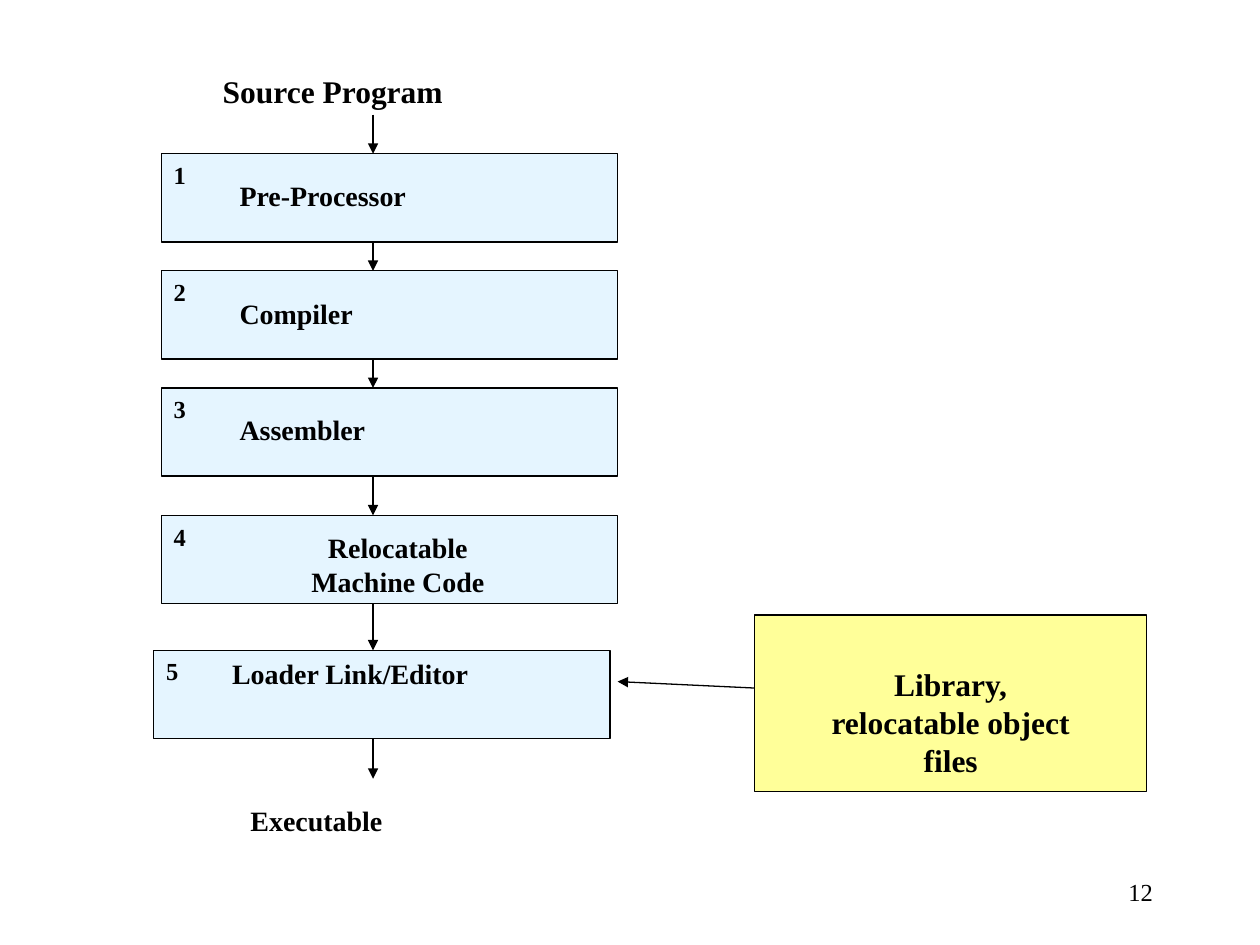
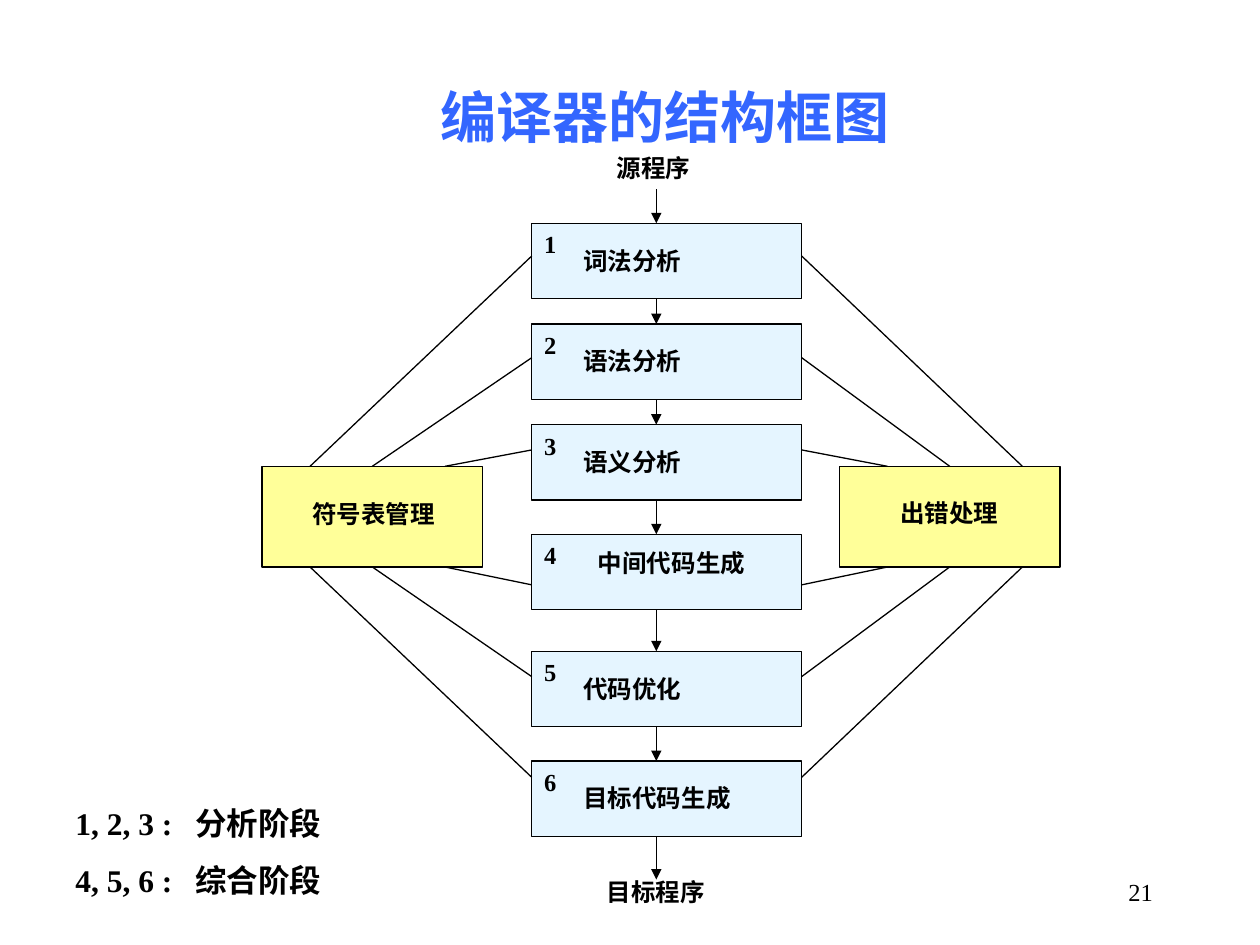
import dataclasses

import pptx
import pptx.dml.color
import pptx.enum.shapes
import pptx.enum.text
import pptx.oxml
import pptx.oxml.ns
import pptx.util

Cm = pptx.util.Cm
Pt = pptx.util.Pt
ALIGN = pptx.enum.text.PP_ALIGN
ANCHOR = pptx.enum.text.MSO_ANCHOR


@dataclasses.dataclass(frozen=True)
class Theme:
    font: str = "Times New Roman"
    ink: str = "000000"
    title: str = "3366FF"
    phase: str = "CCECFF"
    panel: str = "FFFF99"
    title_size: int = 32
    large: int = 18
    medium: int = 16
    small: int = 14
    line_width: float = 0.75


theme = Theme()


def rgb(value):
    return pptx.dml.color.RGBColor.from_string(value)


def add_text(slide, lines, place, size, align=ALIGN.LEFT, bold=True,
             color=theme.ink, anchor=ANCHOR.TOP):
    """Add a text box with one line-broken paragraph and return that paragraph."""
    frame = slide.shapes.add_textbox(*map(Cm, place)).text_frame
    frame.word_wrap = True
    frame.vertical_anchor = anchor
    paragraph = frame.paragraphs[0]
    paragraph.alignment = align
    for index, line in enumerate(lines.split("\n")):
        if index:
            paragraph.add_line_break()
        run = paragraph.add_run()
        run.text = line
        run.font.name = theme.font
        run.font.size = Pt(size)
        run.font.bold = bold
        run.font.color.rgb = rgb(color)
    return paragraph


presentation = pptx.Presentation()
presentation.slide_width = Cm(25.4)
presentation.slide_height = Cm(19.05)
blank = presentation.slide_layouts[6]

# Each step: label, left, top, label offset from the box top, alignment
build_steps = [
    ("Pre-Processor", 3.25, 3.1, 0.38, ALIGN.LEFT),
    ("Compiler", 3.25, 5.46, 0.4, ALIGN.LEFT),
    ("Assembler", 3.25, 7.82, 0.38, ALIGN.LEFT),
    ("Relocatable\nMachine Code", 3.25, 10.39, 0.18, ALIGN.CENTER),
    ("Loader Link/Editor", 3.1, 13.11, 0, ALIGN.LEFT),
]
compiler_steps = [
    ("词法分析", 10.72, 4.5, 0.33, ALIGN.LEFT),
    ("语法分析", 10.72, 6.53, 0.33, ALIGN.LEFT),
    ("语义分析", 10.72, 8.56, 0.33, ALIGN.LEFT),
    ("中间代码生成", 10.72, 10.77, 0.15, ALIGN.CENTER),
    ("代码优化", 10.72, 13.13, 0.33, ALIGN.LEFT),
    ("目标代码生成", 10.72, 15.34, 0.33, ALIGN.LEFT),
]
diagrams = [
    dict(
        page="12", steps=build_steps, step_size=(9.2, 1.78),
        label_indent=1.33, label_width=6.88, label_size=theme.medium,
        arrow_x=7.52, arrow_start=2.31, arrow_end=15.7,
        ends=[("Source Program", (4.24, 1.32, 8.86, 1.02), theme.large),
              ("Executable", (4.8, 16.08, 8.86, 0.94), theme.medium)],
        panels=[("Library,\nrelocatable object files", (15.21, 12.4, 7.9, 3.56),
                 (15.9, 13.28, 6.53, 2.54), theme.large)],
    ),
    dict(
        page="21", steps=compiler_steps, step_size=(5.44, 1.52),
        label_indent=0.79, label_width=4.06, label_size=theme.small,
        arrow_x=13.23, arrow_start=3.81, arrow_end=17.73,
        ends=[("源程序", (12.18, 2.97, 4.35, 0.86), theme.small),
              ("目标程序", (11.98, 17.55, 4.55, 0.86), theme.small)],
        panels=[("符号表管理", (5.28, 9.4, 4.45, 2.03),
                 (5.69, 9.93, 3.68, 0.86), theme.small),
                ("出错处理", (16.92, 9.4, 4.45, 2.03),
                 (17.3, 9.91, 3.68, 0.86), theme.small)],
    ),
]

# Spokes of the second slide: height at each phase, offsets along a panel edge
spoke_heights = [5.16, 7.21, 9.07, 11.79, 13.64, 15.67]
spoke_offsets = [0.97, 2.33, 3.69]

for diagram in diagrams:
    slide = presentation.slides.add_slide(blank)
    add_text(slide, diagram["page"], (18.21, 17.35, 5.28, 1.27), theme.small,
             ALIGN.RIGHT, bold=False, anchor=ANCHOR.MIDDLE)

    width, height = diagram["step_size"]
    boxes = [((left, top, width, height), theme.phase)
             for _, left, top, _, _ in diagram["steps"]]
    boxes += [(place, theme.panel) for _, place, _, _ in diagram["panels"]]
    panel_shapes = []
    for place, fill in boxes:
        shape = slide.shapes.add_shape(
            pptx.enum.shapes.MSO_SHAPE.RECTANGLE, *map(Cm, place))
        shape.shadow.inherit = False
        shape.fill.solid()
        shape.fill.fore_color.rgb = rgb(fill)
        if fill == theme.phase:
            color = shape._element.spPr.find(".//" + pptx.oxml.ns.qn("a:srgbClr"))
            alpha = pptx.oxml.parse_xml(
                f'<a:alpha {pptx.oxml.ns.nsdecls("a")} val="50000"/>')
            color.append(alpha)
        else:
            panel_shapes.append(shape)
        shape.line.color.rgb = rgb(theme.ink)
        shape.line.width = Pt(theme.line_width)

    for number, (label, left, top, offset, align) in enumerate(diagram["steps"], 1):
        add_text(slide, label,
                 (left + diagram["label_indent"], top + offset,
                  diagram["label_width"], 0.94), diagram["label_size"], align)
        add_text(slide, str(number), (left, top, 1, 0.86), theme.small)
    for label, _, place, size in diagram["panels"]:
        add_text(slide, label, place, size, ALIGN.CENTER)
    for label, place, size in diagram["ends"]:
        add_text(slide, label, place, size)

    # Each line: start, end, arrowhead, joined panel and its side
    tops = [top for _, _, top, _, _ in diagram["steps"]]
    starts = [diagram["arrow_start"]] + [top + height for top in tops]
    finishes = tops + [diagram["arrow_end"]]
    x = diagram["arrow_x"]
    lines = [((x, start), (x, finish), True, None, None)
             for start, finish in zip(starts, finishes)]

    if len(panel_shapes) == 1:
        lines.append(((15.21, 13.87), (12.45, 13.74), True, None, None))
    else:
        for side, (_, place, _, _) in enumerate(diagram["panels"]):
            phase_x = 10.72 + side * width
            offsets = spoke_offsets[::-1] if side else spoke_offsets
            for index, phase_y in enumerate(spoke_heights):
                below = index >= 3
                rank = 5 - index if below else index
                edge_y = place[1] + below * place[3]
                joined = panel_shapes[side] if rank == 1 else None
                lines.append(((phase_x, phase_y), (place[0] + offsets[rank], edge_y),
                              False, joined, 2 if below else 0))

    for start, finish, arrow, joined, site in lines:
        connector = slide.shapes.add_connector(
            pptx.enum.shapes.MSO_CONNECTOR.STRAIGHT, *map(Cm, start + finish))
        connector.line.color.rgb = rgb(theme.ink)
        connector.line.width = Pt(theme.line_width)
        if arrow:
            connector.line._get_or_add_ln().append(pptx.oxml.parse_xml(
                f'<a:tailEnd {pptx.oxml.ns.nsdecls("a")} type="triangle"/>'))
        connector._element.spPr.append(pptx.oxml.parse_xml(
            f'<a:effectLst {pptx.oxml.ns.nsdecls("a")}/>'))
        if joined is not None:
            connector.end_connect(joined, site)

# Title and legend of the compiler structure slide
add_text(slide, "编译器的结构框图", (1.98, 0.76, 22.86, 3.18), theme.title_size,
         ALIGN.CENTER, color=theme.title, anchor=ANCHOR.MIDDLE)
legend = add_text(slide, "1, 2, 3 :\t分析阶段", (1.27, 16.08, 8.89, 2.18), theme.large)
second = legend._parent.add_paragraph()
second.space_before = Pt(11.2)
run = second.add_run()
run.text = "4, 5, 6 :\t综合阶段"
run.font.name = theme.font
run.font.size = Pt(theme.large)
run.font.bold = True
run.font.color.rgb = rgb(theme.ink)
for paragraph in (legend, second):
    paragraph._p.get_or_add_pPr().append(pptx.oxml.parse_xml(
        f'<a:tabLst {pptx.oxml.ns.nsdecls("a")}>'
        f'<a:tab pos="{Cm(2.42)}" algn="l"/></a:tabLst>'))

presentation.save("out.pptx")
